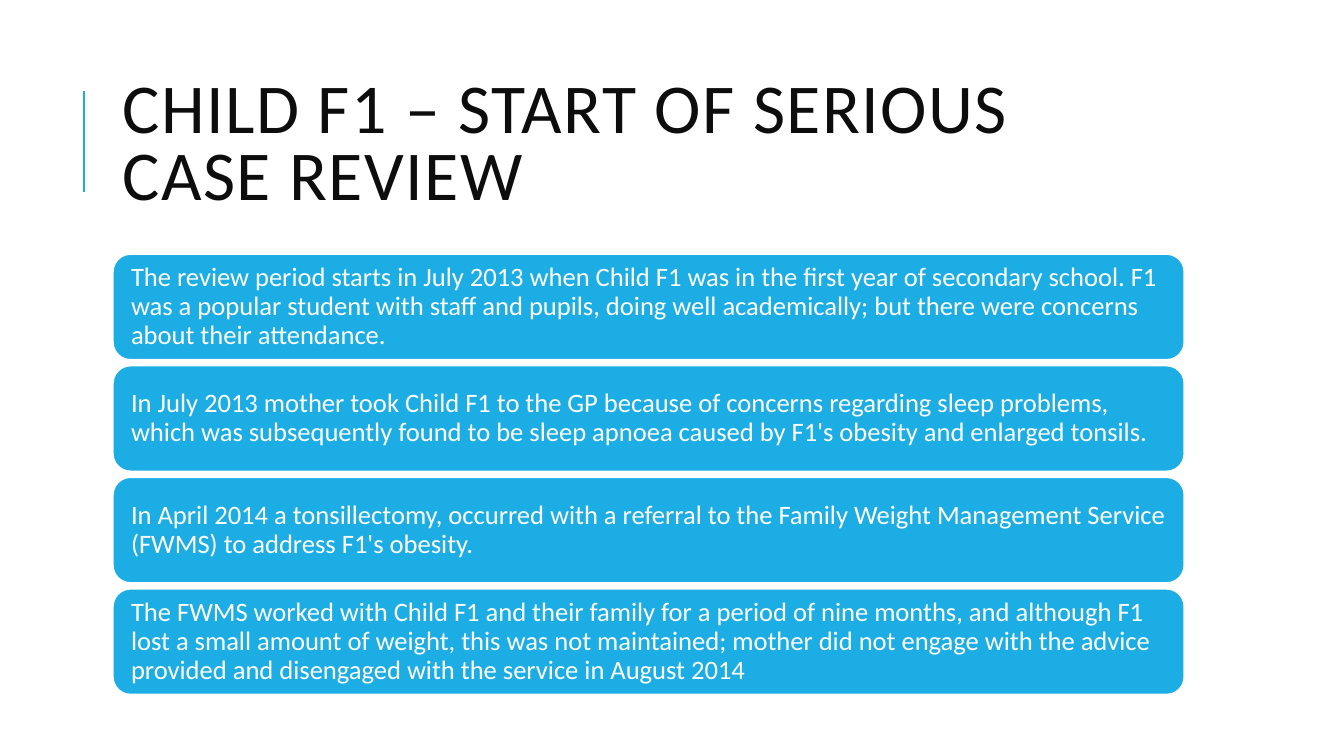
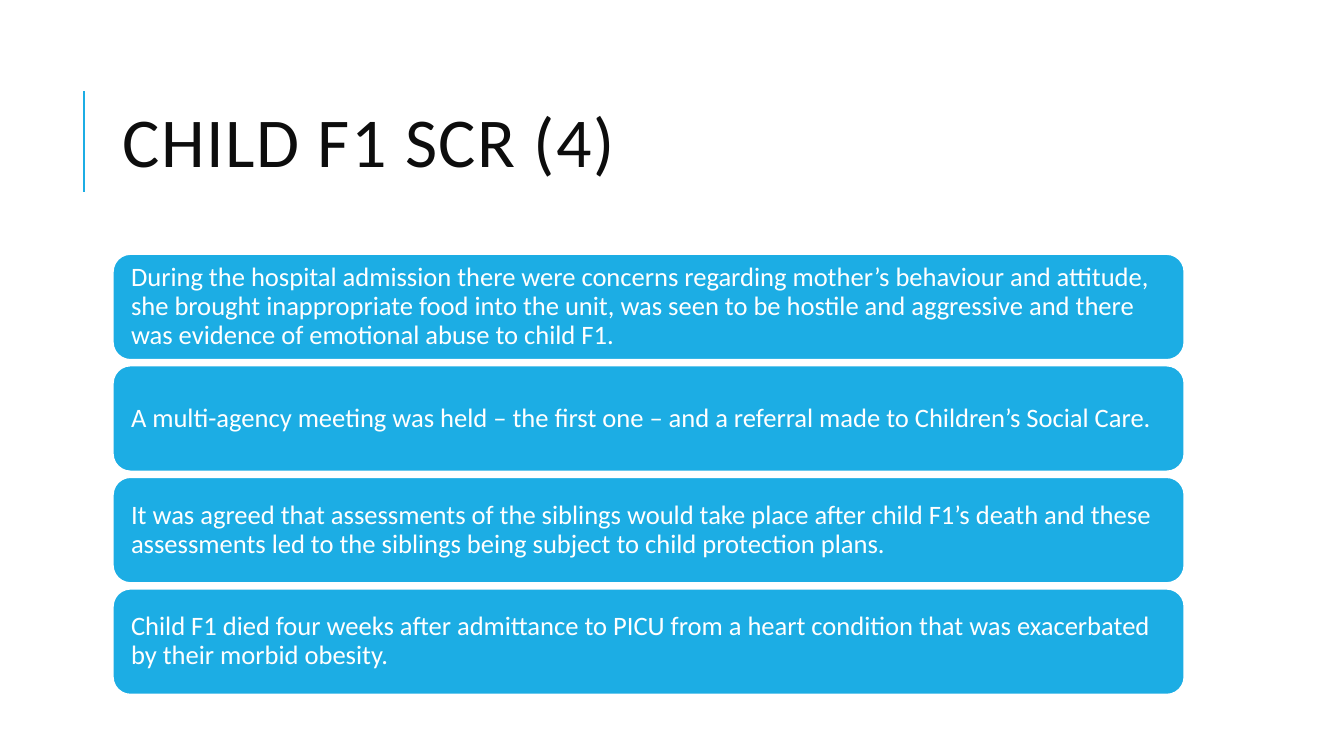
from lxml import etree
from pptx import Presentation
from pptx.dml.color import RGBColor
from pptx.enum.shapes import MSO_CONNECTOR, MSO_SHAPE
from pptx.enum.text import MSO_ANCHOR, PP_ALIGN
from pptx.oxml.ns import qn
from pptx.util import Pt

ROUNDED = MSO_SHAPE.ROUNDED_RECTANGLE
STRAIGHT = MSO_CONNECTOR.STRAIGHT
MIDDLE = MSO_ANCHOR.MIDDLE
LEFT = PP_ALIGN.LEFT

BLUE = RGBColor(0x1C, 0xAD, 0xE4)
WHITE = RGBColor(0xFF, 0xFF, 0xFF)
INK = RGBColor(0x0D, 0x0D, 0x0D)
FONT = "Calibri"

CONTENT_LEFT, CONTENT_WIDTH = 80.64, 765.36
CARD_TOP, CARD_HEIGHT, CARD_PITCH = 181.44, 75.6, 79.7
CARD_MARGIN = 9.3

SLIDES = [
    ("CHILD F1 – START OF SERIOUS CASE REVIEW", [
        "The review period starts in July 2013 when Child F1 was in the first year of secondary school. "
        "F1 was a popular student with staff and pupils, doing well academically; but there were concerns "
        "about their attendance.",
        "In July 2013 mother took Child F1 to the GP because of concerns regarding sleep problems, which was "
        "subsequently found to be sleep apnoea caused by F1's obesity and enlarged tonsils.",
        "In April 2014 a tonsillectomy, occurred with a referral to the Family Weight Management Service "
        "(FWMS) to address F1's obesity.",
        "The FWMS worked with Child F1 and their family for a period of nine months, and although F1 lost a "
        "small amount of weight, this was not maintained; mother did not engage with the advice provided and "
        "disengaged with the service in August 2014",
    ]),
    ("CHILD F1 SCR (4)", [
        "During the hospital admission there were concerns regarding mother’s behaviour and attitude, she "
        "brought inappropriate food into the unit, was seen to be hostile and aggressive and there was "
        "evidence of emotional abuse to child F1.",
        "A multi-agency meeting was held – the first one – and a referral made to Children’s Social Care.",
        "It was agreed that assessments of the siblings would take place after child F1’s death and these "
        "assessments led to the siblings being subject to child protection plans.",
        "Child F1 died four weeks after admittance to PICU from a heart condition that was exacerbated by "
        "their morbid obesity.",
    ]),
]


def write_text(shape, text, size, color, line_spacing):
    frame = shape.text_frame
    frame.word_wrap = True
    frame.vertical_anchor = MIDDLE
    paragraph = frame.paragraphs[0]
    paragraph.text = text
    paragraph.alignment = LEFT
    paragraph.line_spacing = line_spacing
    paragraph.font.name = FONT
    paragraph.font.size = Pt(size)
    paragraph.font.color.rgb = color
    return frame


presentation = Presentation()
presentation.slide_width = Pt(960)
presentation.slide_height = Pt(540)

for title, cards in SLIDES:
    slide = presentation.slides.add_slide(presentation.slide_layouts[6])

    accent = slide.shapes.add_connector(STRAIGHT, Pt(60), Pt(136.8), Pt(60), Pt(64.8))
    accent.line.color.rgb = BLUE
    accent.line.width = Pt(1.5)
    etree.SubElement(accent._element.spPr, qn("a:effectLst"))

    title_box = slide.shapes.add_textbox(Pt(CONTENT_LEFT), Pt(46), Pt(CONTENT_WIDTH), Pt(118))
    title_frame = write_text(title_box, title, 50, INK, 0.8)
    title_frame.margin_right = Pt(14)
    title_run = title_frame.paragraphs[0].runs[0]
    title_run.font._element.set("spc", "100")

    for index, text in enumerate(cards):
        card = slide.shapes.add_shape(ROUNDED, Pt(CONTENT_LEFT), Pt(CARD_TOP + index * CARD_PITCH),
                                      Pt(CONTENT_WIDTH), Pt(CARD_HEIGHT))
        card.shadow.inherit = False
        card.fill.solid()
        card.fill.fore_color.rgb = BLUE
        card.line.color.rgb = WHITE
        card.line.width = Pt(1.25)
        card_frame = write_text(card, text, 19, WHITE, 0.9)
        card_frame.margin_left = card_frame.margin_right = Pt(CARD_MARGIN)
        card_frame.margin_top = card_frame.margin_bottom = Pt(CARD_MARGIN)

presentation.save("out.pptx")
